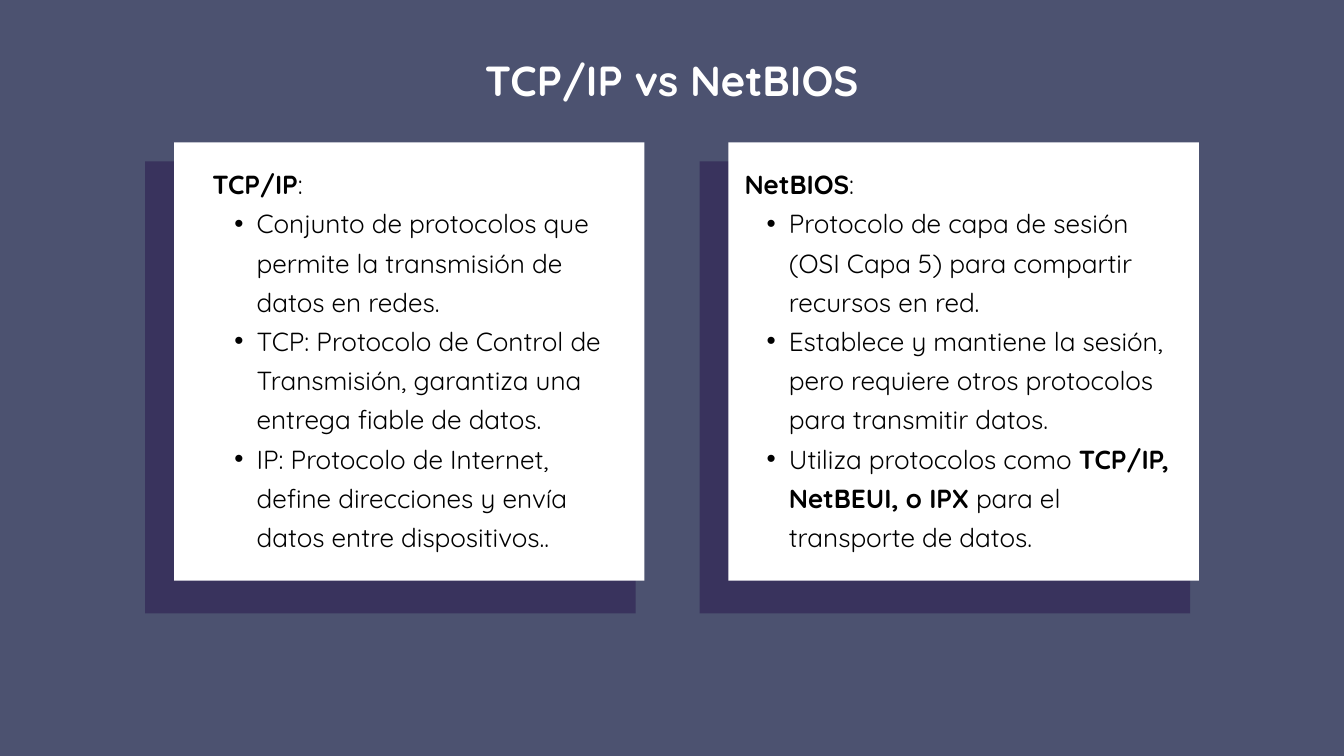
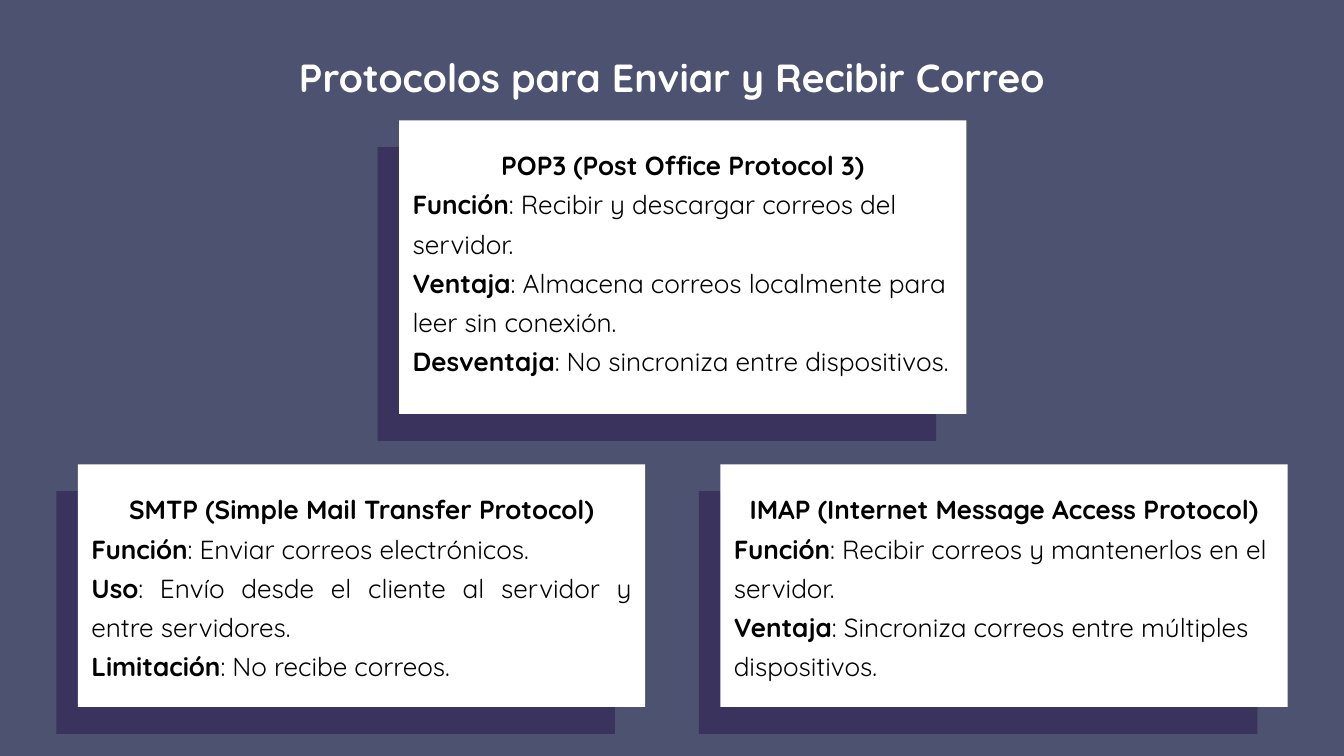
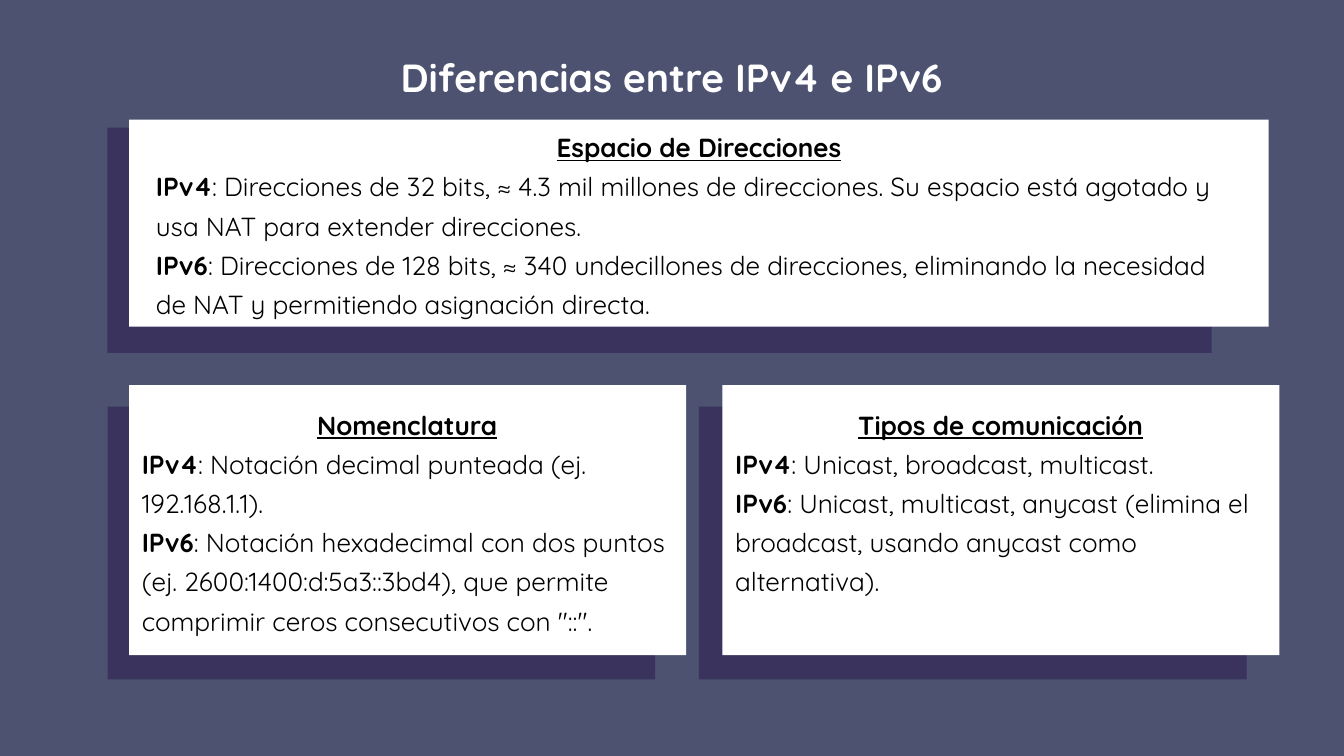
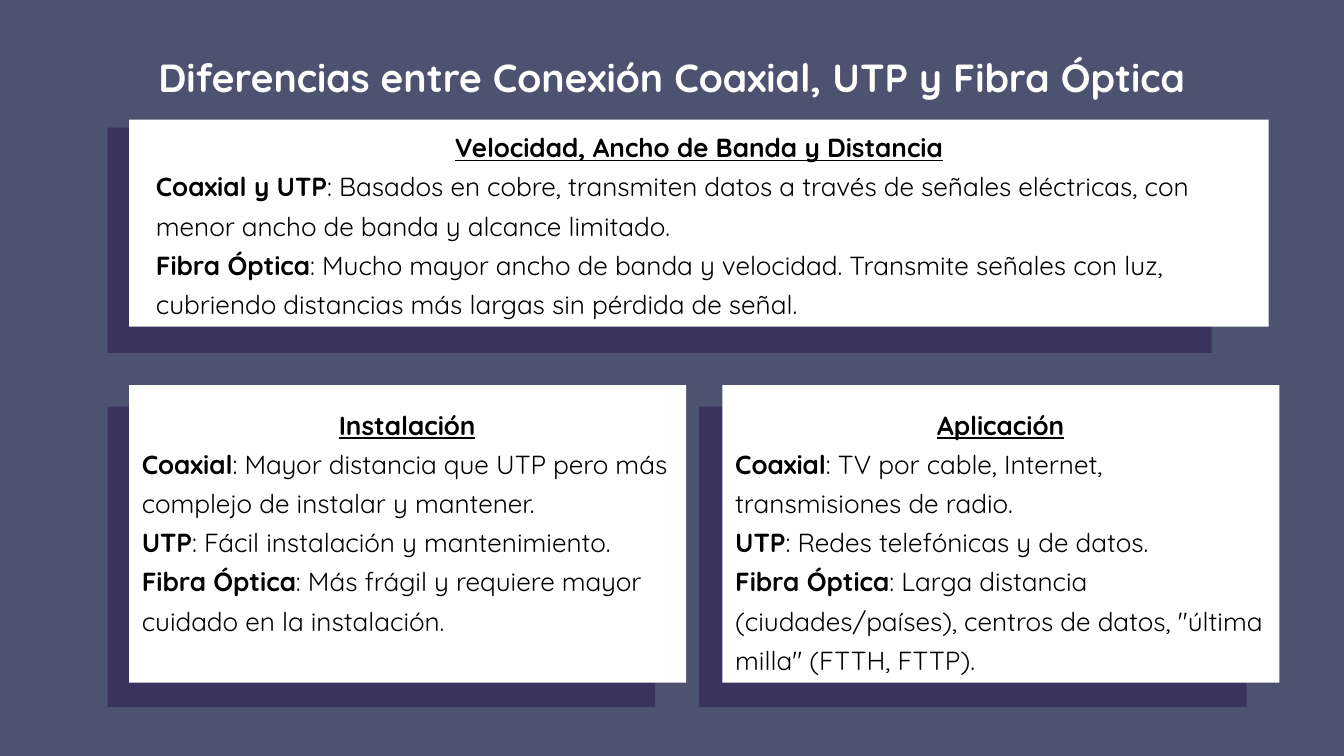
from dataclasses import dataclass
from typing import NamedTuple

from lxml.etree import SubElement
from pptx import Presentation
from pptx.dml.color import RGBColor
from pptx.enum.shapes import MSO_SHAPE
from pptx.enum.text import MSO_ANCHOR, MSO_AUTO_SIZE, PP_ALIGN
from pptx.oxml.ns import qn
from pptx.util import Inches, Pt


@dataclass(frozen=True)
class Theme:
    font: str = "Quicksand"
    background: RGBColor = RGBColor(0x4C, 0x52, 0x70)
    shade: RGBColor = RGBColor(0x1C, 0x01, 0x40)
    shade_alpha: int = 38
    panel: RGBColor = RGBColor(0xFF, 0xFF, 0xFF)
    title: RGBColor = RGBColor(0xFF, 0xFF, 0xFF)
    text: RGBColor = RGBColor(0x00, 0x00, 0x00)
    body_size: int = 28
    title_size: int = 42
    large_title_size: int = 45
    leading: float = 1.5


THEME = Theme()


class Box(NamedTuple):
    x: float
    y: float
    w: float
    h: float

    def inside(self, outer):
        return Box(outer.x + self.x, outer.y + self.y, self.w, self.h)

    def lengths(self):
        return [Inches(v) for v in self]


def prepare_frame(tf):
    tf.word_wrap = True
    tf.auto_size = MSO_AUTO_SIZE.SHAPE_TO_FIT_TEXT
    tf.vertical_anchor = MSO_ANCHOR.TOP
    tf.margin_left = tf.margin_right = tf.margin_top = tf.margin_bottom = 0


def add_run(p, text, size, color, bold=False, underline=False):
    r = p.add_run()
    r.text = text
    r.font.name = THEME.font
    r.font.size = Pt(size)
    r.font.color.rgb = color
    r.font.bold = bold
    r.font.underline = underline


def format_paragraph(p, size, align):
    p.alignment = align
    p.line_spacing = Pt(size * THEME.leading)
    p.space_before = p.space_after = Pt(0)


def add_bullet(p):
    p.level = 1
    pPr = p._p.get_or_add_pPr()
    pPr.set("marL", str(Inches(0.66)))
    pPr.set("indent", str(-Inches(0.33)))
    SubElement(pPr, qn("a:buFont")).set("typeface", "Arial")
    SubElement(pPr, qn("a:buChar")).set("char", "•")


def add_slide(prs, title, size=THEME.title_size):
    s = prs.slides.add_slide(prs.slide_layouts[5])
    sp = s.shapes.title
    sp.left, sp.top, sp.width, sp.height = Box(0.96, 0.62, 18.07, 0.83).lengths()
    prepare_frame(sp.text_frame)
    p = sp.text_frame.paragraphs[0]
    format_paragraph(p, size, PP_ALIGN.CENTER)
    add_run(p, title, size, THEME.title, bold=True)
    return s


def add_rectangle(s, box, color, alpha=None):
    sp = s.shapes.add_shape(MSO_SHAPE.RECTANGLE, *box.lengths())
    sp.shadow.inherit = False
    sp.line.fill.background()
    sp.fill.solid()
    sp.fill.fore_color.rgb = color
    if alpha is not None:
        clr = sp._element.spPr.find(f"{qn('a:solidFill')}/{qn('a:srgbClr')}")
        SubElement(clr, qn("a:alpha")).set("val", str(alpha * 1000))


def add_panel(s, box, shade):
    add_rectangle(s, shade.inside(box), THEME.shade, THEME.shade_alpha)
    add_rectangle(s, box, THEME.panel)


def add_body(s, box, paragraphs, heading=None, underline=False, bullets=False,
             align=PP_ALIGN.LEFT):
    tf = s.shapes.add_textbox(*box.lengths()).text_frame
    prepare_frame(tf)
    rows = [(heading,), *paragraphs] if heading else paragraphs
    for i, runs in enumerate(rows):
        p = tf.paragraphs[0] if i == 0 else tf.add_paragraph()
        is_heading = heading is not None and i == 0
        format_paragraph(p, THEME.body_size, PP_ALIGN.CENTER if is_heading else align)
        if bullets and i > 0:
            add_bullet(p)
        for j, text in enumerate(runs):
            if text:
                add_run(p, text, THEME.body_size, THEME.text,
                        bold=j % 2 == 0, underline=underline and is_heading)


def comparison_slide(prs, title, columns):
    s = add_slide(prs, title, THEME.large_title_size)
    text_areas = [Box(0.57, 0.27, 5.96, 5.71), Box(0.24, 0.27, 6.51, 5.71)]
    for i, (area, paragraphs) in enumerate(zip(text_areas, columns)):
        box = Box(2.59 + i * 8.25, 2.12, 7, 6.52)
        add_panel(s, box, Box(-0.43, 0.28, 7.3, 6.73))
        add_body(s, area.inside(box), paragraphs, bullets=True)


def protocol_card(s, box, heading, paragraphs, text_h, align=PP_ALIGN.LEFT):
    add_panel(s, box, Box(-0.32, 0.4, box.w - 0.13, box.h))
    area = Box(0.2, 0.32, box.w - 0.4, text_h)
    add_body(s, area.inside(box), paragraphs, heading, align=align)


def mail_slide(prs, title, top, left, right):
    s = add_slide(prs, title)
    protocol_card(s, Box(1.16, 6.91, 8.44, 3.61), *left, 2.88, PP_ALIGN.JUSTIFY)
    protocol_card(s, Box(5.94, 1.79, 8.44, 4.37), *top, 4.05)
    protocol_card(s, Box(10.72, 6.91, 8.44, 3.61), *right, 2.88)


def topics_slide(prs, title, wide, pair, pair_h, text_heights):
    s = add_slide(prs, title)
    box = Box(1.92, 1.78, 16.96, 3.08)
    add_panel(s, box, Box(-0.32, 0.12, 16.43, 3.35))
    heading, paragraphs = wide
    area = Box(0.4, 0.06, box.w - 0.8, 2.88)
    add_body(s, area.inside(box), paragraphs, heading, underline=True)
    for i, ((heading, paragraphs), text_h) in enumerate(zip(pair, text_heights)):
        box = Box(1.92 + i * 8.83, 5.73, 8.29, pair_h)
        add_panel(s, box, Box(-0.32 - i * 0.03, 0.32, 8.15, pair_h + 0.04))
        area = Box(0.19, 0.24, 7.9, text_h)
        add_body(s, area.inside(box), paragraphs, heading, underline=True)


def main():
    prs = Presentation()
    prs.slide_width, prs.slide_height = Inches(20), Inches(11.25)
    fill = prs.slide_master.background.fill
    fill.solid()
    fill.fore_color.rgb = THEME.background

    comparison_slide(prs, "TCP/IP vs NetBIOS", [
        [
            ("TCP/IP", ":"),
            ("", "Conjunto de protocolos que permite la transmisión de datos en redes."),
            ("", "TCP: Protocolo de Control de Transmisión, garantiza una entrega "
                 "fiable de datos."),
            ("", "IP: Protocolo de Internet, define direcciones y envía datos entre "
                 "dispositivos.."),
        ],
        [
            ("NetBIOS", ":"),
            ("", "Protocolo de capa de sesión (OSI Capa 5) para compartir recursos en red."),
            ("", "Establece y mantiene la sesión, pero requiere otros protocolos para "
                 "transmitir datos."),
            ("", "Utiliza protocolos como ", "TCP/IP, NetBEUI, o IPX",
             " para el transporte de datos."),
        ],
    ])

    mail_slide(
        prs, "Protocolos para Enviar y Recibir Correo",
        top=("POP3 (Post Office Protocol 3)", [
            ("Función", ": Recibir y descargar correos del servidor."),
            ("Ventaja", ": Almacena correos localmente para leer sin conexión."),
            ("Desventaja", ": No sincroniza entre dispositivos."),
        ]),
        left=("SMTP (Simple Mail Transfer Protocol)", [
            ("Función", ": Enviar correos electrónicos."),
            ("Uso", ": Envío desde el cliente al servidor y entre servidores."),
            ("Limitación", ": No recibe correos."),
        ]),
        right=("IMAP (Internet Message Access Protocol)", [
            ("Función", ": Recibir correos y mantenerlos en el servidor."),
            ("Ventaja", ": Sincroniza correos entre múltiples dispositivos."),
        ]),
    )

    topics_slide(
        prs, "Diferencias entre IPv4 e IPv6",
        wide=("Espacio de Direcciones", [
            ("IPv4", ": Direcciones de 32 bits, ≈ 4.3 mil millones de direcciones. "
                     "Su espacio está agotado y usa NAT para extender direcciones."),
            ("IPv6", ": Direcciones de 128 bits, ≈ 340 undecillones de direcciones, "
                     "eliminando la necesidad de NAT y permitiendo asignación directa."),
        ]),
        pair=[
            ("Nomenclatura", [
                ("IPv4", ": Notación decimal punteada (ej. 192.168.1.1)."),
                ("IPv6", ": Notación hexadecimal con dos puntos (ej. "
                         "2600:1400:d:5a3::3bd4), que permite comprimir ceros "
                         'consecutivos con "::".'),
            ]),
            ("Tipos de comunicación", [
                ("IPv4", ": Unicast, broadcast, multicast."),
                ("IPv6", ": Unicast, multicast, anycast (elimina el broadcast, "
                         "usando anycast como alternativa)."),
            ]),
        ],
        pair_h=4.02, text_heights=[3.47, 2.88],
    )

    topics_slide(
        prs, "Diferencias entre Conexión Coaxial, UTP y Fibra Óptica",
        wide=("Velocidad, Ancho de Banda y Distancia", [
            ("Coaxial y UTP", ": Basados en cobre, transmiten datos a través de señales "
                              "eléctricas, con menor ancho de banda y alcance limitado."),
            ("Fibra Óptica", ": Mucho mayor ancho de banda y velocidad. Transmite señales "
                             "con luz, cubriendo distancias más largas sin pérdida de señal."),
        ]),
        pair=[
            ("Instalación", [
                ("Coaxial", ": Mayor distancia que UTP pero más complejo de instalar "
                            "y mantener."),
                ("UTP", ": Fácil instalación y mantenimiento."),
                ("Fibra Óptica", ": Más frágil y requiere mayor cuidado en la instalación."),
            ]),
            ("Aplicación", [
                ("Coaxial", ": TV por cable, Internet, transmisiones de radio."),
                ("UTP", ": Redes telefónicas y de datos."),
                ("Fibra Óptica", ": Larga distancia (ciudades/países), centros de datos, "
                                 '"última milla" (FTTH, FTTP).'),
            ]),
        ],
        pair_h=4.43, text_heights=[3.47, 4.05],
    )

    prs.save("out.pptx")


if __name__ == "__main__":
    main()
